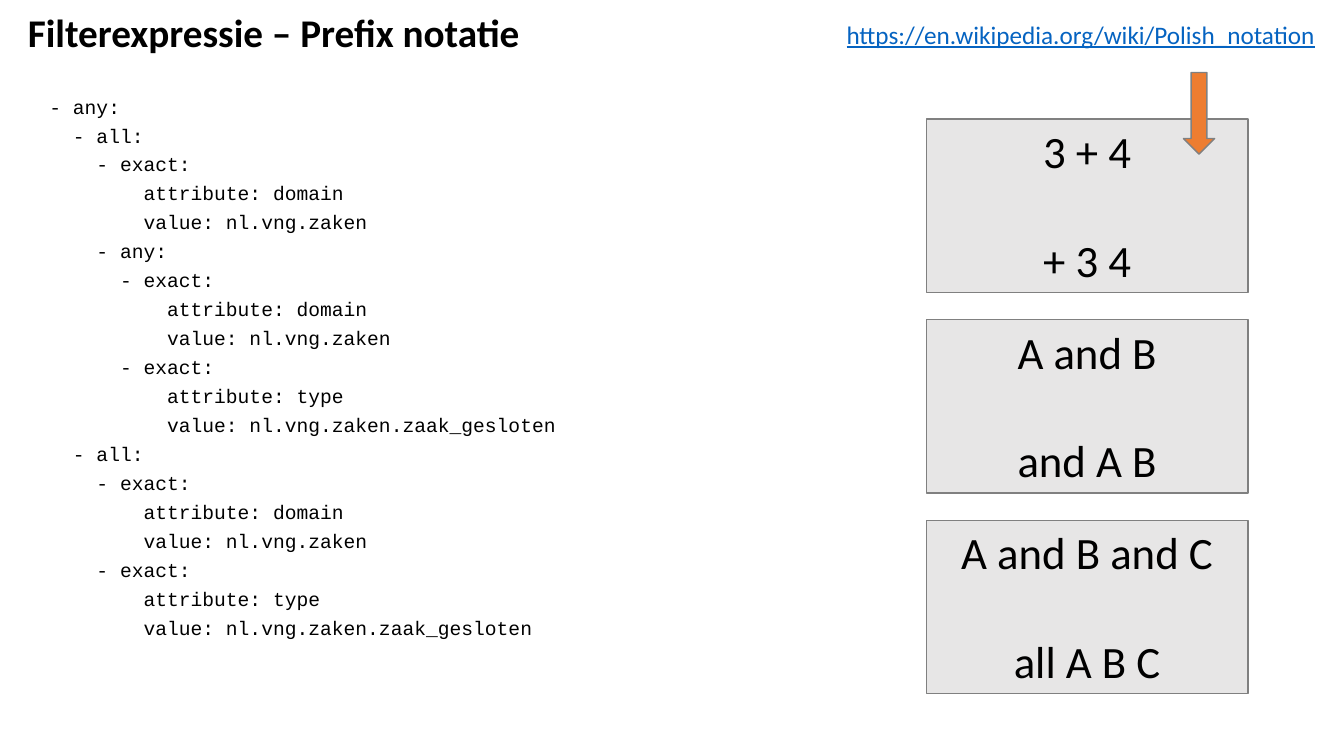
import pptx
import pptx.util
import pptx.dml.color
import pptx.enum.shapes
import pptx.enum.text
import pptx.oxml.ns
from lxml import etree

Pt = pptx.util.Pt
ALIGN = pptx.enum.text.PP_ALIGN
SHAPES = pptx.enum.shapes.MSO_SHAPE
NO_AUTOFIT = pptx.enum.text.MSO_AUTO_SIZE.NONE


def colour(hex_value):
    return pptx.dml.color.RGBColor.from_string(hex_value)


def add_outlined(kind, left, top, width, height, fill):
    """Add a flat shape with a thin grey outline."""
    shape = slide.shapes.add_shape(kind, Pt(left), Pt(top), Pt(width), Pt(height))
    shape.shadow.inherit = False
    shape.fill.solid()
    shape.fill.fore_color.rgb = colour(fill)
    shape.line.color.rgb = colour("808080")
    shape.line.width = Pt(1)
    return shape


FILTER = """\
- any:
  - all:
    - exact:
        attribute: domain
        value: nl.vng.zaken
    - any:
      - exact:
          attribute: domain
          value: nl.vng.zaken
      - exact:
          attribute: type
          value: nl.vng.zaken.zaak_gesloten
  - all:
    - exact:
        attribute: domain
        value: nl.vng.zaken
    - exact:
        attribute: type
        value: nl.vng.zaken.zaak_gesloten"""
EXAMPLES = [
    ("3 + 4", "+ 3 4"),
    ("A and B", "and A B"),
    ("A and B and C", "all A B C"),
]

presentation = pptx.Presentation()
presentation.slide_width = Pt(960)
presentation.slide_height = Pt(540)
slide = presentation.slides.add_slide(presentation.slide_layouts[1])

# Title
title = slide.shapes.title
for name, value in dict(left=0, top=0, width=960, height=49.7).items():
    setattr(title, name, Pt(value))
title.text_frame.auto_size = NO_AUTOFIT
title.text_frame.margin_left = Pt(19.9)
heading = title.text_frame.paragraphs[0]
heading.text = "Filterexpressie – Prefix notatie"
heading.alignment = ALIGN.LEFT
heading.line_spacing = 0.9
for name, value in dict(name="Calibri", size=Pt(28), bold=True).items():
    setattr(heading.font, name, value)
heading.font.color.rgb = colour("000000")

# Filter expression
listing = slide.placeholders[1]
for name, value in dict(left=28.1, top=69.8, width=931.9, height=470.2).items():
    setattr(listing, name, Pt(value))
listing.text_frame.auto_size = NO_AUTOFIT
listing.text_frame.text = FILTER
for number, line in enumerate(listing.text_frame.paragraphs):
    properties = line._p.get_or_add_pPr()
    properties.set("marL", "0")
    properties.set("indent", "0")
    etree.SubElement(properties, pptx.oxml.ns.qn("a:buNone"))
    line.line_spacing = 0.6
    line.space_before = Pt(10.6 if number else 0)
    line.font.name = "Courier New"
    line.font.size = Pt(14)
    line.font.color.rgb = colour("000000")

# Web address
address = slide.shapes.add_textbox(Pt(597.6), Pt(10.1), Pt(352.8), Pt(28.8))
address.text_frame.word_wrap = False
address_line = address.text_frame.paragraphs[0]
address_line.text = "https://en.wikipedia.org/wiki/Polish_notation"
for name, value in dict(name="Calibri", size=Pt(18), underline=True).items():
    setattr(address_line.font, name, value)
address_line.font.color.rgb = colour("0563C1")

# Infix and prefix examples
for row, (infix, prefix) in enumerate(EXAMPLES):
    example = add_outlined(SHAPES.RECTANGLE, 661.7, 85 + 143.3 * row, 229.7, 123.8, "E7E6E6")
    example.text_frame.vertical_anchor = pptx.enum.text.MSO_ANCHOR.TOP
    example.text_frame.text = f"{infix}\n{prefix}"
    for line, gap in zip(example.text_frame.paragraphs, (0, 39)):
        line.alignment = ALIGN.CENTER
        line.space_before = Pt(gap)
        line.font.name = "Calibri"
        line.font.size = Pt(32)
        line.font.color.rgb = colour("000000")

add_outlined(SHAPES.DOWN_ARROW, 845.3, 51.8, 22.3, 58.3, "ED7D31")

presentation.save("out.pptx")
